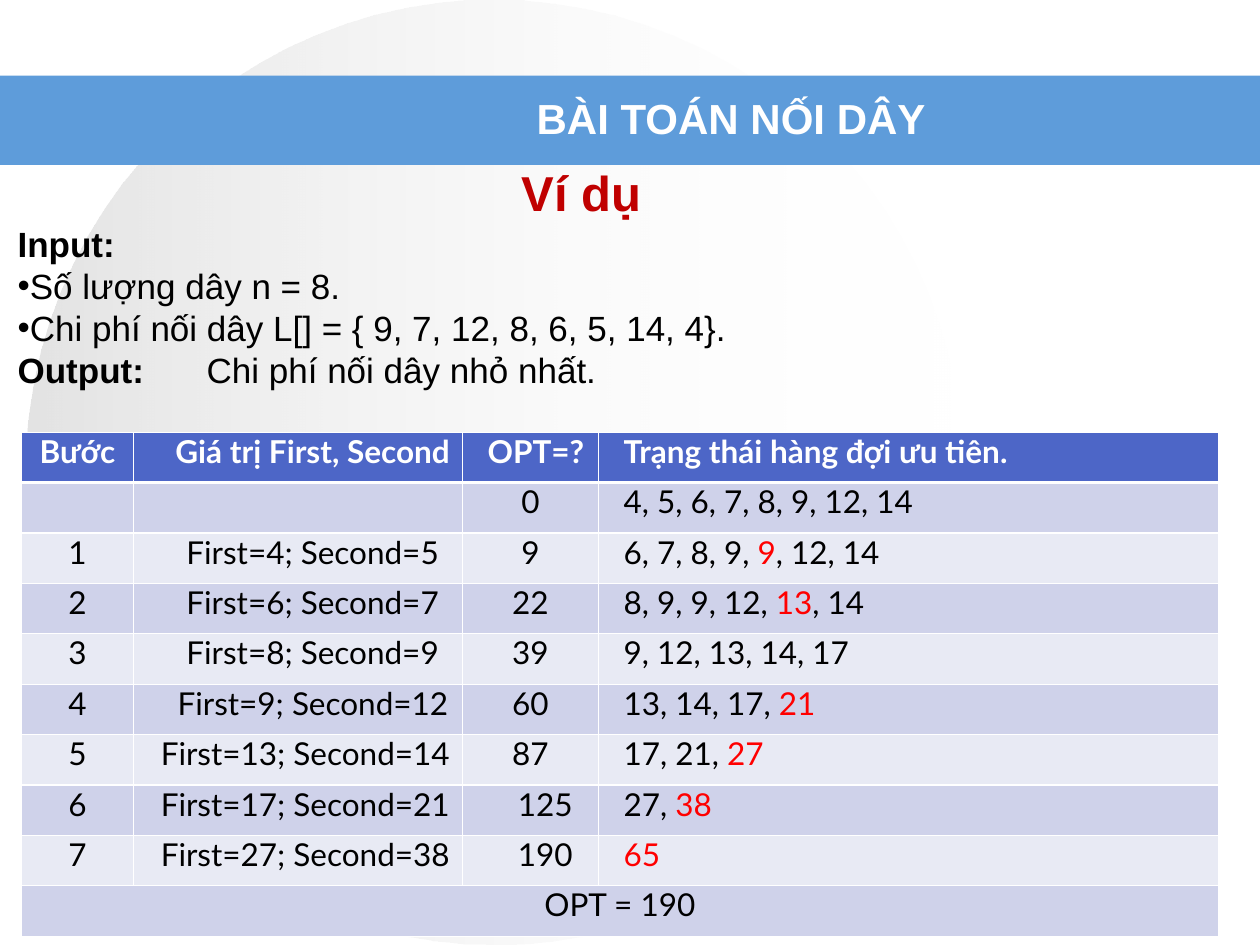
from lxml import etree
from pptx import Presentation
from pptx import util as u
from pptx.dml.color import RGBColor
from pptx.enum import shapes, text
from pptx.oxml import ns

Inches = u.Inches
COLORS = {
    "white": "FFFFFF", "black": "000000", "gray": "C0C0C0", "band": "5E9CDA",
    "heading": "C00000", "header": "4D66C7", "odd": "CFD2EA", "even": "E8EAF4",
    "new": "FF0000",
}
CENTER, RIGHT = text.PP_ALIGN.CENTER, text.PP_ALIGN.RIGHT

COLUMN_WIDTHS = [0.89, 2.61, 1.08, 4.92]
ROW_HEIGHT = 0.4
HEADERS = ["Bước", "Giá trị First, Second", "OPT=?", "Trạng thái hàng đợi ưu tiên."]
# Step, first and second, running total, queue (newly joined value between bars)
STEPS = [
    ("", "", "0", "4, 5, 6, 7, 8, 9, 12, 14"),
    ("1", "First=4; Second=5", "9", "6, 7, 8, 9, |9|, 12, 14"),
    ("2", "First=6; Second=7", "22", "8, 9, 9, 12, |13|, 14"),
    ("3", "First=8; Second=9", "39", "9, 12, 13, 14, 17"),
    ("4", "First=9; Second=12", "60", "13, 14, 17, |21|"),
    ("5", "First=13; Second=14", "87", "17, 21, |27|"),
    ("6", "First=17; Second=21", "125", "27, |38|"),
    ("7", "First=27; Second=38", "190", "|65|"),
]
PAIR_INDENTS = {17: 0.32, 18: 0.25}  # by text length; longer pairs align right


def color(name):
    return RGBColor.from_string(COLORS[name])


def add_child(parent, tag, **attributes):
    child = etree.SubElement(parent, ns.qn(tag))
    for key, value in attributes.items():
        child.set(key, str(value))
    return child


def add_span(para, words, size, shade="black", bold=False, font="Arial"):
    span = para.add_run()
    span.text = words
    span.font.size = u.Pt(size)
    span.font.name = font
    span.font.bold = bold
    span.font.color.rgb = color(shade)


def set_indent(para, left):
    properties = para._p.get_or_add_pPr()
    properties.set("marL", str(Inches(left)))
    properties.set("indent", "0")
    return properties


def add_box(page, left, top, width, height, inset_top=0):
    frame = page.shapes.add_textbox(
        Inches(left), Inches(top), Inches(width), Inches(height)).text_frame
    frame.word_wrap = True
    frame.margin_left = frame.margin_right = frame.margin_bottom = 0
    frame.margin_top = Inches(inset_top)
    return frame


def add_plain_shape(page, kind, left, top, width, height):
    shape = page.shapes.add_shape(
        kind, Inches(left), Inches(top), Inches(width), Inches(height))
    shape.shadow.inherit = False
    shape.line.fill.background()
    return shape


def add_background(page):
    # Large circle fading out to the right
    circle = add_plain_shape(page, shapes.MSO_SHAPE.OVAL, 0.2, 0, 7.44, 7.5)
    circle.fill.gradient()
    circle.fill.gradient_angle = 0
    for stop, shade, position, alpha in zip(
            circle.fill.gradient_stops, ("gray", "white"), (0, 1), (44000, 0)):
        stop.color.rgb = color(shade)
        stop.position = position
        add_child(stop._gs[0], "a:alpha", val=alpha)
    # Title band
    band = add_plain_shape(page, shapes.MSO_SHAPE.RECTANGLE, 0, 0.6, 10, 0.71)
    band.fill.solid()
    band.fill.fore_color.rgb = color("band")


def add_title(page):
    frame = add_box(page, 1.72, 0.67, 8.25, 0.53)
    frame.vertical_anchor = text.MSO_ANCHOR.MIDDLE
    para = frame.paragraphs[0]
    para.alignment = CENTER
    add_span(para, "BÀI TOÁN NỐI DÂY ", 24, "white", True)


def add_example(page):
    frame = add_box(page, 0.13, 1.28, 9.85, 1.83, 0.01)
    # Heading
    para = frame.paragraphs[0]
    set_indent(para, 4.01)
    para.space_before = u.Pt(0.9)
    add_span(para, "Ví dụ", 28, "heading", True)
    # Input
    para = frame.add_paragraph()
    set_indent(para, 0.01)
    para.space_before = u.Pt(0.9)
    add_span(para, "Input:", 20, bold=True)
    for line in ("Số lượng dây n = 8.",
                 "Chi phí nối dây L[] = { 9, 7, 12, 8, 6, 5, 14, 4}."):
        para = frame.add_paragraph()
        properties = set_indent(para, 0.01)
        add_child(add_child(properties, "a:buClr"), "a:srgbClr", val=COLORS["black"])
        add_child(properties, "a:buFont", typeface="Arial")
        add_child(properties, "a:buChar", char="•")
        add_span(para, line, 20)
    # Output
    para = frame.add_paragraph()
    tabs = add_child(set_indent(para, 0.01), "a:tabLst")
    add_child(tabs, "a:tab", pos=Inches(1.25), algn="l")
    add_span(para, "Output:\t", 20, bold=True)
    add_span(para, "Chi phí nối dây nhỏ nhất.", 20)


def set_borders(cell, widths):
    properties = cell._tc.get_or_add_tcPr()
    for index, (side, width) in enumerate(zip("LRTB", widths)):
        line = add_child(properties, f"a:ln{side}", w=u.Pt(width))
        add_child(add_child(line, "a:solidFill"), "a:srgbClr", val=COLORS["white"])
        properties.insert(index, line)


def fill_cell(cell, words, fill, align=None, indent=0, shade="black", bold=False):
    cell.fill.solid()
    cell.fill.fore_color.rgb = color(fill)
    cell.margin_top = cell.margin_bottom = 0
    para = cell.text_frame.paragraphs[0]
    para.space_before = u.Pt(3.3)
    para.alignment = align
    if indent:
        set_indent(para, indent)
    for index, part in enumerate(words.split("|")):
        if part:
            add_span(para, part, 18, "new" if index % 2 else shade, bold, "Lato")


def pair_layout(pair):
    indent = PAIR_INDENTS.get(len(pair), 0)
    return (None, indent) if indent else (RIGHT, 0)


def add_steps_table(page):
    row_count = len(STEPS) + 2
    table = page.shapes.add_table(
        row_count, len(COLUMN_WIDTHS), Inches(0.17), Inches(3.43),
        Inches(sum(COLUMN_WIDTHS)), Inches(ROW_HEIGHT * row_count)).table
    table.first_row = table.horz_banding = False
    for column, width in zip(table.columns, COLUMN_WIDTHS):
        column.width = Inches(width)
    for row in table.rows:
        row.height = Inches(ROW_HEIGHT)

    # Header
    header_layouts = [(CENTER, 0), (RIGHT, 0), (None, 0.1), (None, 0.1)]
    for column, (words, layout) in enumerate(zip(HEADERS, header_layouts)):
        fill_cell(table.cell(0, column), words, "header", *layout, "white", True)

    # Steps
    for row, step in enumerate(STEPS, 1):
        total_layout = (None, 0.34) if len(step[2]) == 3 else (CENTER, 0)
        layouts = [(CENTER, 0), pair_layout(step[1]), total_layout, (None, 0.1)]
        for column, (words, layout) in enumerate(zip(step, layouts)):
            fill_cell(table.cell(row, column), words, "odd" if row % 2 else "even", *layout)

    # Result
    last = row_count - 1
    table.cell(last, 0).merge(table.cell(last, len(COLUMN_WIDTHS) - 1))
    fill_cell(table.cell(last, 0), "OPT = 190", "odd", CENTER)

    # Borders: heavy rule under the header, thin one after the first column
    for row in range(row_count):
        for column in range(len(COLUMN_WIDTHS)):
            set_borders(table.cell(row, column), (
                0.45 if column == 1 else 0.75, 0.45 if column == 0 else 0.75,
                2.1 if row == 1 else 0.75, 2.1 if row == 0 else 0.75))


def main():
    deck = Presentation()
    deck.slide_width, deck.slide_height = Inches(10), Inches(7.5)
    page = deck.slides.add_slide(deck.slide_layouts[6])
    add_background(page)
    add_title(page)
    add_steps_table(page)
    add_example(page)
    deck.save("out.pptx")


if __name__ == "__main__":
    main()
